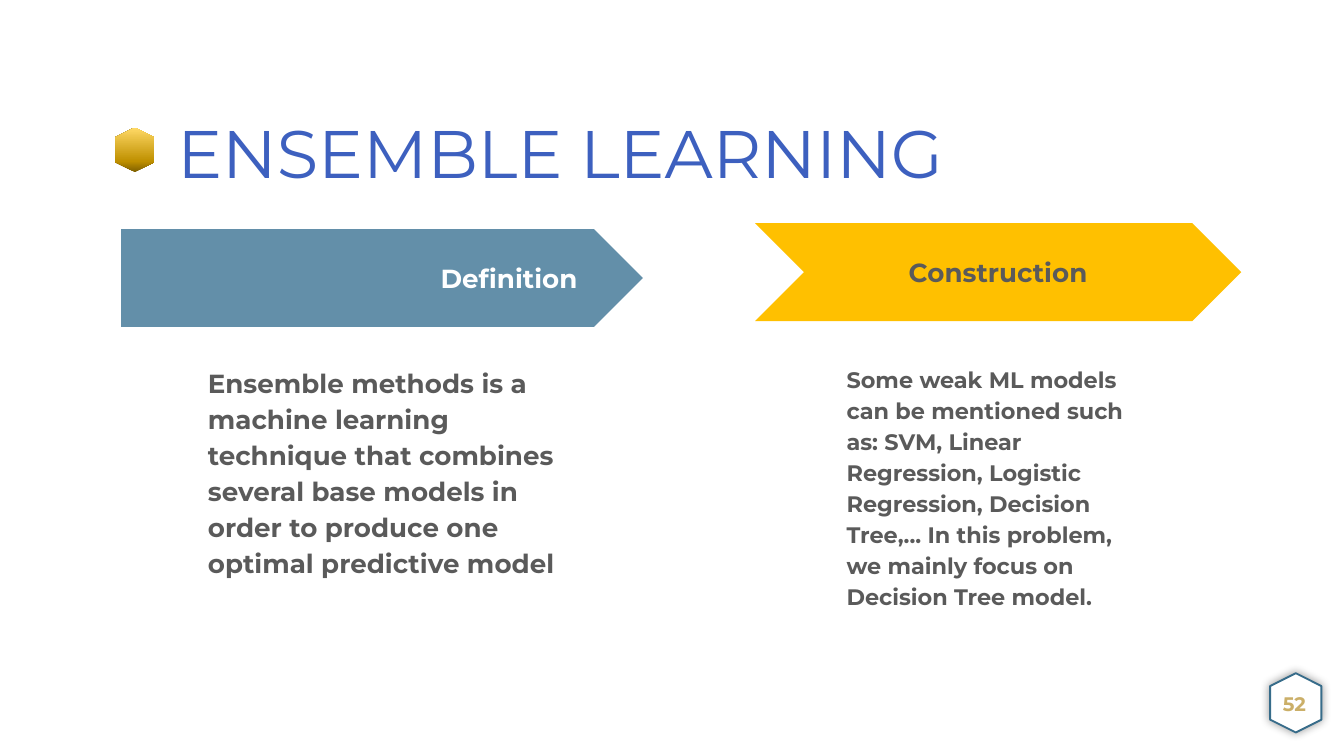
from copy import deepcopy
from dataclasses import dataclass

from lxml.etree import SubElement
from pptx import Presentation
from pptx.dml.color import RGBColor
from pptx.enum.shapes import MSO_SHAPE
from pptx.enum.text import MSO_ANCHOR, MSO_AUTO_SIZE, PP_ALIGN
from pptx.oxml.ns import qn
from pptx.util import Cm, Pt


@dataclass(frozen=True)
class Theme:
    font: str = "Montserrat"
    title: str = "3D60BF"
    body: str = "5A5A5A"
    white: str = "FFFFFF"
    blue: str = "638FA9"
    yellow: str = "FFC000"
    outline: str = "376C8A"
    number: str = "CBAF68"
    gold: tuple = ((0, "7F6000"), (0.24, "BF9000"), (1, "FFD966"))
    title_size: float = 36
    large_size: float = 14
    small_size: float = 12
    number_size: float = 10.5


THEME = Theme()
INSET = 0.25


def rgb(color):
    return RGBColor.from_string(color)


def box(left, top, width, height):
    return Cm(left), Cm(top), Cm(width), Cm(height)


def write(sp, text, size, color, bold=True, align=PP_ALIGN.LEFT,
          anchor=MSO_ANCHOR.MIDDLE, inset=INSET, right=None, spacing=None):
    """Fill a shape with one paragraph; right overrides the right inset."""
    tf = sp.text_frame
    tf.word_wrap = True
    tf.auto_size = MSO_AUTO_SIZE.NONE
    tf.vertical_anchor = anchor
    tf.margin_left = tf.margin_top = tf.margin_bottom = Cm(inset)
    tf.margin_right = Cm(inset if right is None else right)
    p = tf.paragraphs[0]
    p.text = text
    p.alignment = align
    p.line_spacing = spacing
    p.font.name = THEME.font
    p.font.size = Pt(size)
    p.font.bold = bold
    p.font.color.rgb = rgb(color)


def add_filled(shapes, kind, place, color):
    sp = shapes.add_shape(kind, *box(*place))
    sp.shadow.inherit = False
    sp.fill.solid()
    sp.fill.fore_color.rgb = rgb(color)
    sp.line.fill.background()
    return sp


def add_hexagon(s, place, color):
    """Add a hexagon that stands on a corner."""
    sp = add_filled(s.shapes, MSO_SHAPE.HEXAGON, place, color)
    sp.rotation = 270
    return sp


def fill_gradient(sp, stops):
    sp.fill.gradient()
    sp.fill.gradient_angle = 0
    first = next(sp.element.iter(qn("a:gs")))
    for _ in range(len(stops) - 2):
        first.addnext(deepcopy(first))
    for stop, (position, color) in zip(sp.fill.gradient_stops, stops):
        stop.position = position
        stop.color.rgb = rgb(color)


def add_soft_shadow(sp):
    effects = sp.element.spPr.find(qn("a:effectLst"))
    shadow = SubElement(effects, qn("a:outerShdw"), blurRad=str(Pt(5)),
                        dist="0", dir="0", algn="ctr", rotWithShape="0")
    color = SubElement(shadow, qn("a:srgbClr"), val="000000")
    SubElement(color, qn("a:alpha"), val="40000")


def add_title(s, text):
    title = s.shapes.title
    title.left, title.top, title.width, title.height = box(3.35, 2.39, 18.69, 0.97)
    write(title, text, THEME.title_size, THEME.title, bold=False, inset=0)
    bullet = add_hexagon(s, (2.13, 2.46, 0.84, 0.74), THEME.white)
    fill_gradient(bullet, THEME.gold)


def add_page_number(s, number):
    badge = add_hexagon(s, (23.93, 12.8, 1.12, 0.97), THEME.white)
    badge.line.color.rgb = rgb(THEME.outline)
    badge.line.width = Pt(1)
    add_soft_shadow(badge)
    sp = s.shapes.add_textbox(*box(23.98, 12.75, 0.97, 1.12))
    write(sp, number, THEME.number_size, THEME.number,
          align=PP_ALIGN.CENTER, inset=0)


def add_topic(s, kind, arrow_place, fill, heading, heading_color, align, right,
              text_left, text_width, text, size):
    """Group an arrow heading with the text below it."""
    shapes = s.shapes.add_group_shape().shapes
    arrow = add_filled(shapes, kind, arrow_place, fill)
    write(arrow, heading, THEME.large_size, heading_color, align=align, right=right)
    sp = shapes.add_textbox(*box(text_left, 6.6, text_width, 7.26))
    write(sp, text, size, THEME.body, anchor=MSO_ANCHOR.TOP, spacing=1.15)


def main():
    prs = Presentation()
    prs.slide_width, prs.slide_height = Cm(25.4), Cm(14.29)
    s = prs.slides.add_slide(prs.slide_layouts[5])
    add_title(s, "ENSEMBLE LEARNING")
    add_page_number(s, "52")
    add_topic(
        s, MSO_SHAPE.CHEVRON, (14.27, 4.22, 9.19, 1.85), THEME.yellow,
        "Construction", THEME.body, PP_ALIGN.CENTER, INSET, 15.75, 6.22,
        "Some weak ML models can be mentioned such as: SVM, Linear Regression, "
        "Logistic Regression, Decision Tree,... In this problem, we mainly "
        "focus on Decision Tree model.", THEME.small_size)
    add_topic(
        s, MSO_SHAPE.PENTAGON, (2.29, 4.33, 9.86, 1.85), THEME.blue,
        "Definition", THEME.white, PP_ALIGN.RIGHT, 0.77, 3.68, 7.06,
        "Ensemble methods is a machine learning technique that combines several "
        "base models in order to produce one optimal predictive model",
        THEME.large_size)
    prs.save("out.pptx")


if __name__ == "__main__":
    main()
